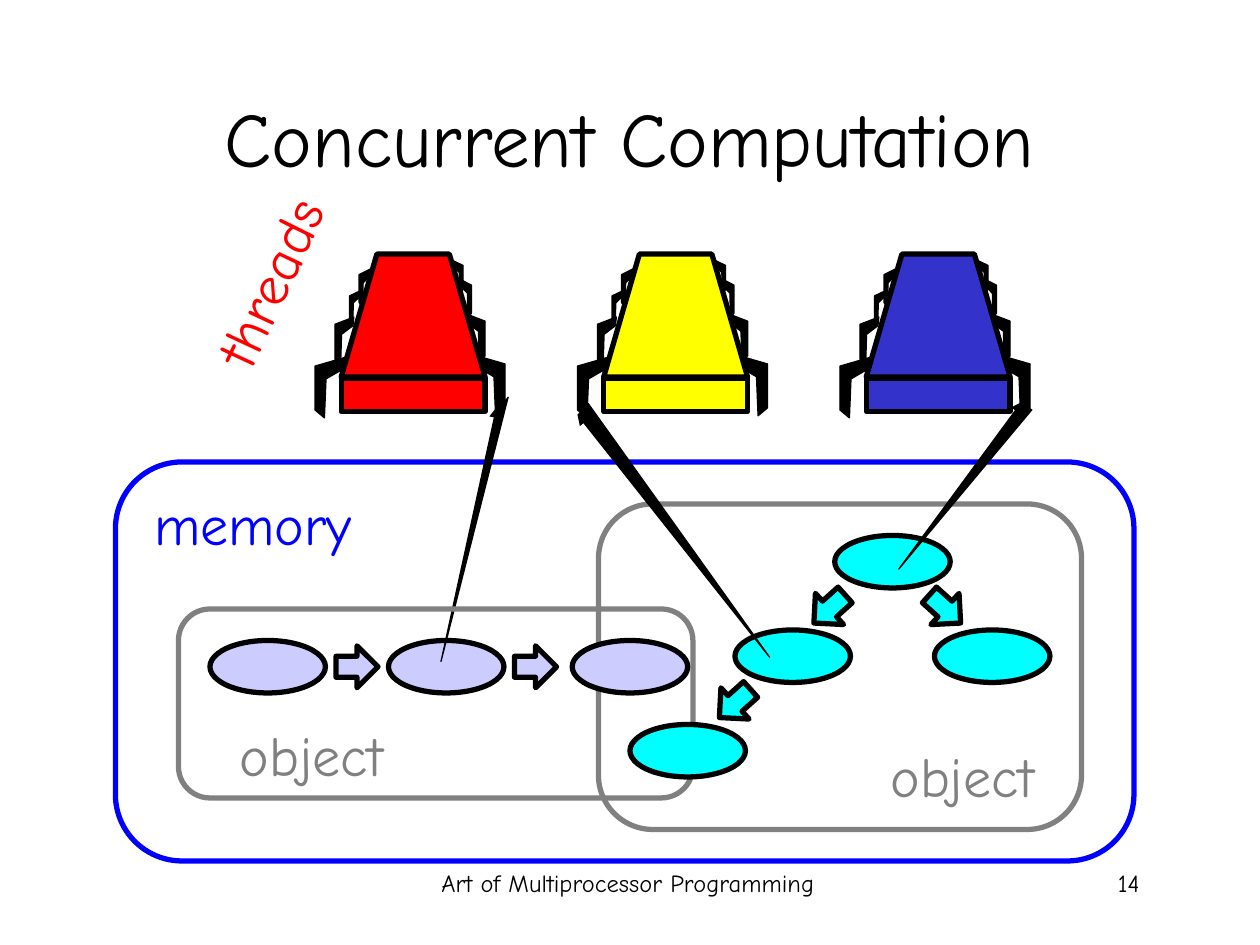
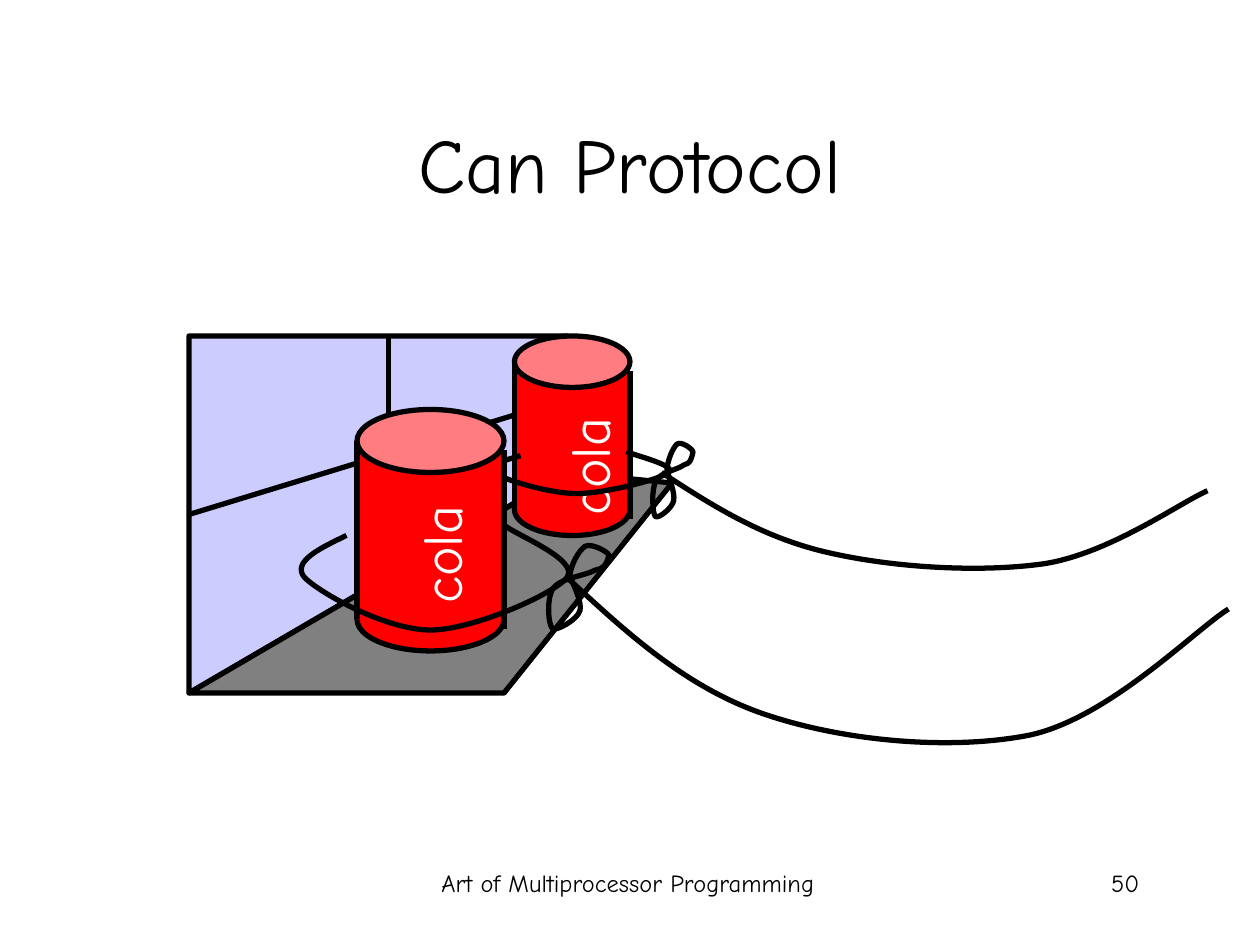
from lxml import etree
from pptx import Presentation
from pptx import util as u
from pptx.dml.color import RGBColor
from pptx.enum import shapes, text
from pptx.oxml import ns

COLUMNS, ROWS = 120, 90
FONT = "Comic Neue"
COLORS = {
    "black": "000000", "white": "FFFFFF", "red": "FF0000", "pink": "FF7C80",
    "yellow": "FFFF00", "indigo": "3333CC", "blue": "0000FF",
    "lavender": "CCCCFF", "cyan": "00FFFF", "gray": "808080",
}
SHAPE = shapes.MSO_SHAPE
ALIGN = text.PP_ALIGN

LEG = [(0, 0), (1, 0.15), (1, 0.87), (0.7, 1), (0.65, 0.36), (0.05, 0.18)]
LEGS = [
    (12.6, 33.8, 3, 5.8), (11.9, 29.9, 1.8, 4.6),
    (11.3, 26.6, 1.1, 3.7), (10.6, 24.8, 1, 3.2),
    (0.5, 34, -3, 5.8), (1.2, 30.2, -1.8, 4.6),
    (2.8, 25.6, -1.1, 3.7), (1.8, 27.7, -1, 3.2),
]
ROPE = [
    (0, 0), (0.09, 0.35), (0.18, 0.7), (0.3, 0.87), (0.42, 1.04),
    (0.58, 1.1), (0.7, 1), (0.82, 0.89), (0.95, 0.33), (1, 0.2),
]
BOW = [
    (0.38, 0.37), (0.4, 0.24), (0.52, 0.09), (0.62, 0.04), (0.72, 0),
    (0.98, 0.1), (1, 0.14), (0.96, 0.24), (0.94, 0.29), (0.78, 0.31),
    (0.64, 0.37), (0.24, 0.4), (0.12, 0.51), (0, 0.63), (0.04, 0.93),
    (0.1, 0.97), (0.16, 1.01), (0.5, 0.87), (0.54, 0.77), (0.58, 0.67),
    (0.42, 0.46), (0.38, 0.37),
]
LOOP = [
    (0.16, 0.1), (0.06, 0.22), (-0.05, 0.35), (0, 0.5), (0.06, 0.65),
    (0.31, 1), (0.48, 1), (0.64, 1), (0.95, 0.66), (1, 0.5),
    (1.05, 0.33), (0.8, 0.09), (0.76, 0),
]


def rgb(name):
    return RGBColor.from_string(COLORS[name])


def fit(points, box):
    left, top, width, height = box
    return [(left + x * width, top + y * height) for x, y in points]


class Deck:
    def __init__(self):
        self.prs = Presentation()
        self.prs.slide_width, self.prs.slide_height = u.Inches(10), u.Inches(7.5)
        self.slide = None

    def grid(self, *lengths):
        units = (self.prs.slide_width / COLUMNS, self.prs.slide_height / ROWS)
        return [round(n * units[i % 2]) for i, n in enumerate(lengths)]

    def new_slide(self, heading, number, top):
        self.slide = self.prs.slides.add_slide(self.prs.slide_layouts[5])
        title = self.slide.shapes.title
        title.left, title.top, title.width, title.height = self.grid(9, top, 102, 15)
        self.set_words(title, heading, 44, "black", ALIGN.CENTER)
        title.text_frame.vertical_anchor = text.MSO_ANCHOR.MIDDLE
        self.label("Art of Multiprocessor Programming", (40.8, 82.1, 38, 6),
                   "black", size=14, align=ALIGN.CENTER)
        self.label(str(number), (84.7, 82.1, 25, 6), "black", size=14, wrap=True)

    def set_words(self, holder, words, size, color, align):
        frame = holder.text_frame
        frame.auto_size = text.MSO_AUTO_SIZE.NONE
        frame.text = words
        line = frame.paragraphs[0]
        line.alignment = align
        line.font.name, line.font.size = FONT, u.Pt(size)
        line.font.color.rgb = rgb(color)

    def label(self, words, box, color, size=32, align=ALIGN.RIGHT, turn=0, wrap=False):
        holder = self.slide.shapes.add_textbox(*self.grid(*box))
        holder.text_frame.word_wrap = wrap
        holder.rotation = turn
        self.set_words(holder, words, size, color, align)

    def style(self, item, fill, line, weight):
        item.shadow.inherit = False
        if fill:
            item.fill.solid()
            item.fill.fore_color.rgb = rgb(fill)
        else:
            item.fill.background()
        if line:
            item.line.color.rgb = rgb(line)
            item.line.width = u.Pt(weight)
        else:
            item.line.fill.background()

    def shape(self, kind, box, fill=None, line="black", turn=0):
        item = self.slide.shapes.add_shape(kind, *self.grid(*box))
        item.rotation = turn
        self.style(item, fill, line, 3)

    def outline(self, points, fill=None, weight=3, close=True):
        start, *rest = [self.grid(*point) for point in points]
        builder = self.slide.shapes.build_freeform(*start)
        builder.add_line_segments(rest, close=close)
        item = builder.convert_to_shape()
        self.style(item, fill, "black", weight)
        return item

    def curve(self, points, box):
        item = self.outline(fit(points, box), close=False)
        route = next(item._element.iter(ns.qn("a:path")))
        steps = route.findall(ns.qn("a:lnTo"))
        for i in range(0, len(steps), 3):
            bend = etree.SubElement(route, ns.qn("a:cubicBezTo"))
            for step in steps[i:i + 3]:
                bend.append(step[0])
                route.remove(step)

    def pointer(self, points):
        item = self.outline(points, "black", 0.75, close=False)
        edge = item._element.spPr.find(ns.qn("a:ln"))
        etree.SubElement(edge, ns.qn("a:tailEnd"), type="triangle")

    def line(self, start, end):
        item = self.slide.shapes.add_connector(
            shapes.MSO_CONNECTOR.STRAIGHT, *self.grid(*start, *end))
        item.line.color.rgb = rgb("black")
        item.line.width = u.Pt(3)
        etree.SubElement(item._element.spPr, ns.qn("a:effectLst"))

    def thread(self, left, color):
        for hip, top, width, height in LEGS:
            self.outline(fit(LEG, (left + hip, top, width, height)), "black", 0.75)
        body = [(0, 35.9), (3.4, 24.2), (10.3, 24.2), (13.7, 35.9)]
        self.outline([(left + x, y) for x, y in body], color)
        self.shape(SHAPE.RECTANGLE, (left, 36, 13.7, 3.2), color)

    def can(self, box, lid, label_at):
        left, top, width, height = box
        right, bottom = left + width, top + height
        upper, lower = top + lid / 2, bottom - lid / 2
        self.shape(SHAPE.OVAL, (left, bottom - lid, width, lid), "red")
        self.shape(SHAPE.RECTANGLE, (left, upper, width, lower - upper), "red", None)
        self.shape(SHAPE.OVAL, (left, top, width, lid), "pink")
        self.line((left, upper), (left, lower))
        self.line((right, upper + 0.9), (right, lower + 0.9))
        self.label("cola", (*label_at, 12.1, 7.5), "white", turn=270)


def concurrent_computation(deck):
    deck.new_slide("Concurrent Computation", 14, 5.5)
    deck.shape(SHAPE.ROUNDED_RECTANGLE, (11, 44, 97, 38), "white", "blue")
    deck.label("memory", (13, 46, 21.7, 7.5), "blue")
    for i, color in enumerate(("red", "yellow", "indigo")):
        deck.thread(32.5 + 25 * i, color)
    nodes = {
        "lavender": [(20, 61), (37, 61)],
        "cyan": [(89, 60), (79.5, 51), (70, 60)],
    }
    for color, places in nodes.items():
        for place in places:
            deck.shape(SHAPE.OVAL, (*place, 11, 5), color)
    links = [
        (32, 61.5, 0, "lavender"), (49, 61.5, 0, "lavender"),
        (88, 56, 42, "cyan"), (77, 56, 138, "cyan"), (68, 65, 138, "cyan"),
    ]
    for left, top, turn, color in links:
        deck.shape(SHAPE.RIGHT_ARROW, (left, top, 4, 4), color, turn=turn)
    deck.pointer([(48.4, 37.8), (42, 63), (47.3, 38.8)])
    for frame, label_at in (((17, 58, 49, 18), (19, 68)),
                            ((57, 48, 46, 31), (81, 70))):
        deck.shape(SHAPE.ROUNDED_RECTANGLE, frame, line="gray")
        deck.label("object", (*label_at, 18.7, 7.5), "gray")
    deck.shape(SHAPE.OVAL, (60, 69, 11, 5), "cyan")
    deck.shape(SHAPE.OVAL, (54.5, 61, 11, 5), "lavender")
    deck.pointer([(56, 38.4), (73.3, 62.6), (55, 39.5)])
    deck.pointer([(98.3, 39), (85.6, 54.2), (97.3, 38.3)])
    deck.label("threads", (14, 24.3, 22, 7.5), "red", turn=295)


def can_protocol(deck):
    deck.new_slide("Can Protocol", 50, 8)
    deck.outline([(18, 32), (18, 66), (54, 45), (54, 32)], "lavender")
    deck.line((18, 49), (54, 38))
    deck.line((37, 32), (37, 55))
    deck.outline([(18, 66), (48, 66), (64, 46), (54, 45)], "gray")

    deck.can((49, 32, 11, 19), 4.9, (49.9, 40.9))
    deck.curve(LOOP, (46.9, 43, 16.8, 4))
    deck.curve(BOW, (62, 42, 4, 7.4))
    deck.curve(ROPE, (63, 45, 52, 8.7))

    deck.can((34, 39, 14, 23), 6, (35.8, 49.3))
    deck.curve(LOOP, (29, 50, 25, 10))
    deck.curve(BOW, (52, 51.7, 6, 8.4))
    deck.curve(ROPE, (54, 55, 63, 15))


def main():
    deck = Deck()
    concurrent_computation(deck)
    can_protocol(deck)
    deck.prs.save("out.pptx")


if __name__ == "__main__":
    main()
